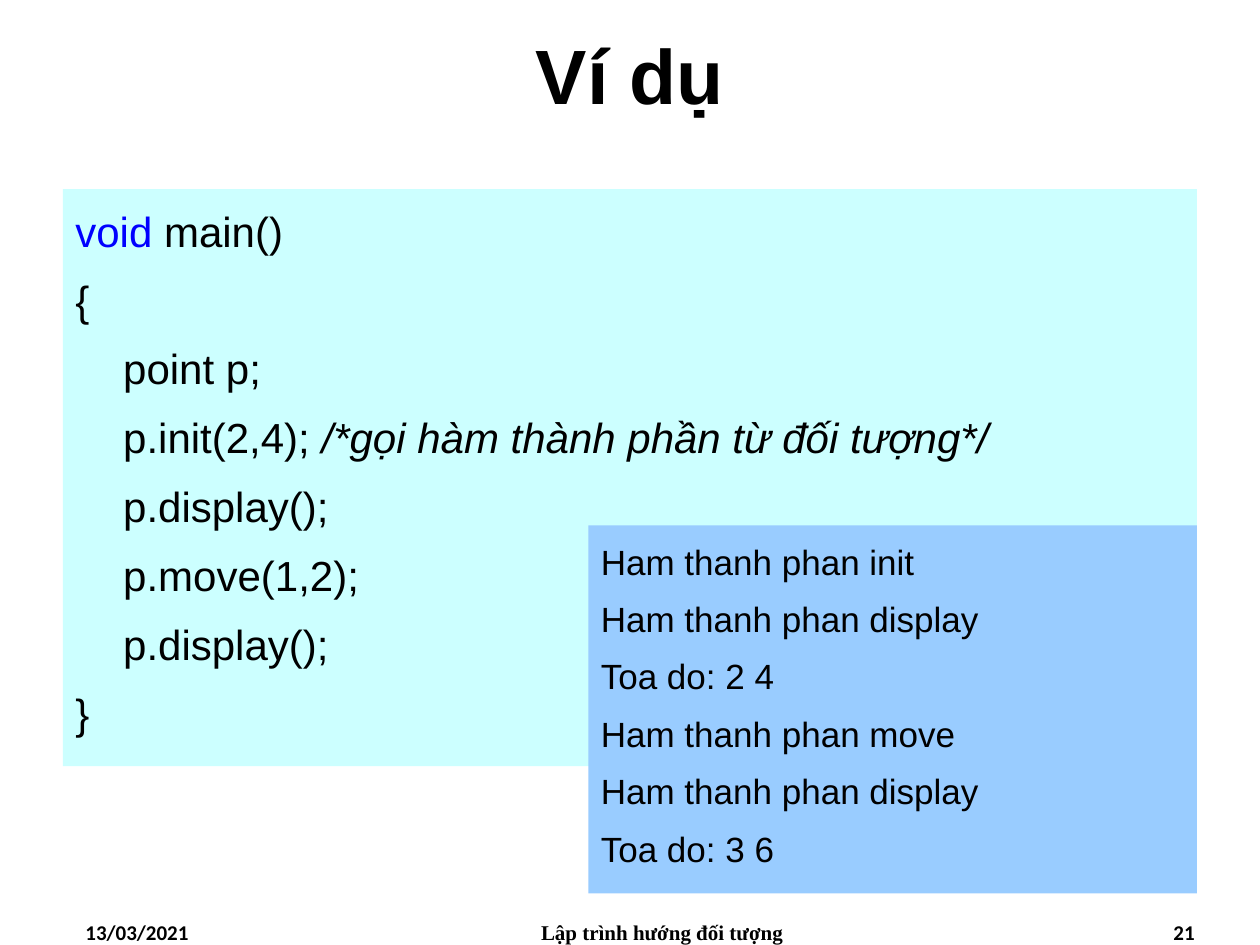
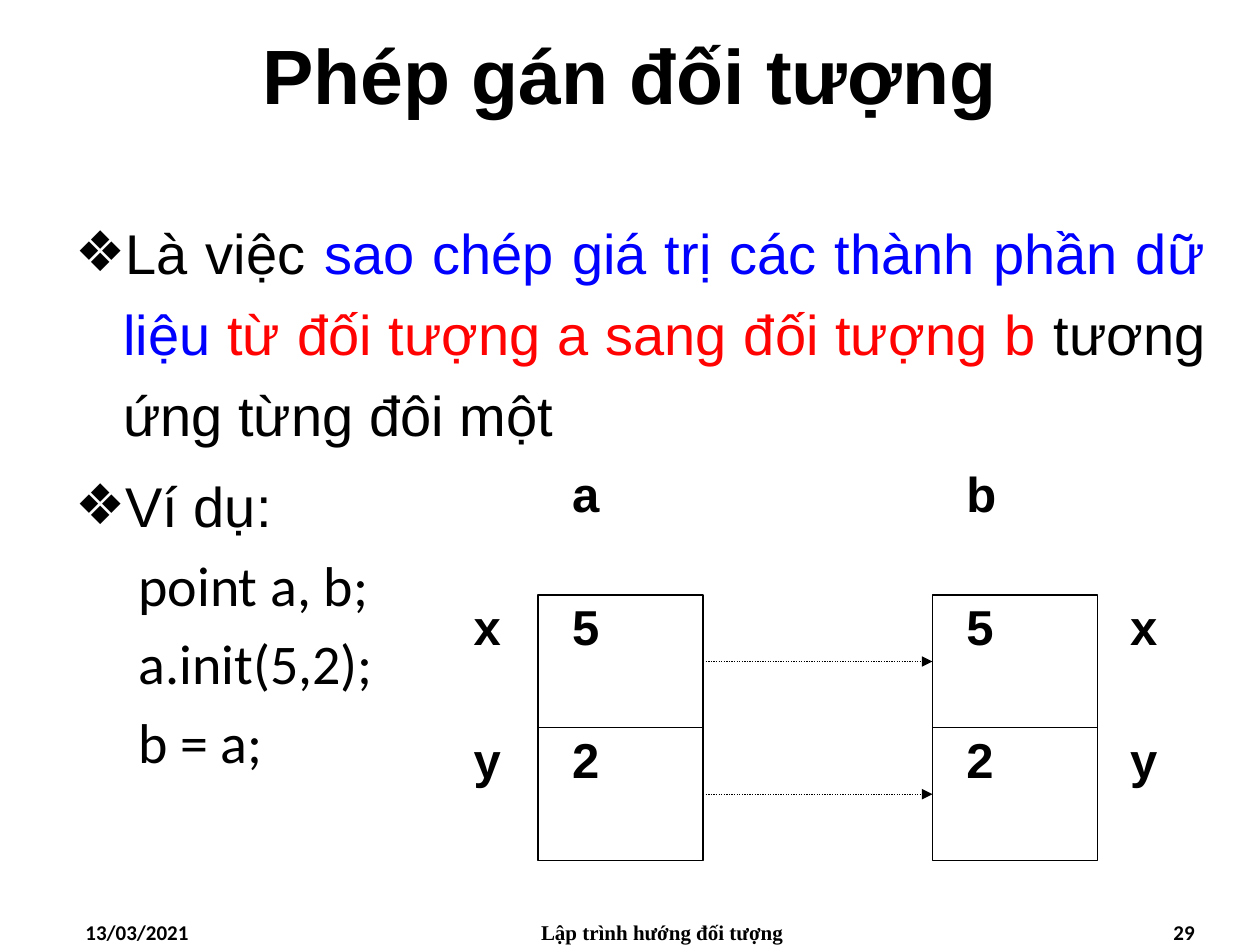
from dataclasses import dataclass

from lxml import etree
from pptx import Presentation
from pptx.dml.color import RGBColor
from pptx.enum import dml, shapes, text
from pptx.oxml import ns
from pptx.util import Inches, Pt


@dataclass(frozen=True)
class Theme:
    black: str = "000000"
    blue: str = "0000FF"
    red: str = "FF0303"
    code_fill: str = "CCFFFF"
    output_fill: str = "99CCFF"
    sans: str = "Arial"
    body: str = "Calibri"
    serif: str = "Times New Roman"
    title_size: int = 44
    body_size: int = 32
    label_size: int = 28
    code_size: int = 24
    output_size: int = 20
    footer_size: int = 12
    line_width: float = 0.75
    line_spacing: float = 1.2
    hang: float = 0.38


T = Theme()
LEFT, CENTER, RIGHT, JUSTIFY = (
    text.PP_ALIGN.LEFT, text.PP_ALIGN.CENTER, text.PP_ALIGN.RIGHT, text.PP_ALIGN.JUSTIFY)


def style_run(r, size, font=T.sans, color=T.black, bold=False, italic=False):
    r.font.size = Pt(size)
    r.font.name = font
    r.font.color.rgb = RGBColor.from_string(color)
    r.font.bold = bold
    r.font.italic = italic


def add_runs(p, runs, size, font=T.sans):
    for content, look in runs:
        r = p.add_run()
        r.text = content
        style_run(r, size, font, **look)


def next_paragraph(tf, first):
    return tf.paragraphs[0] if first else tf.add_paragraph()


def set_paragraph(p, size, margin, indent, spacing=T.line_spacing, bullet=None):
    p.space_before = Pt(size * 0.2)
    p.line_spacing = spacing
    props = p._p.get_or_add_pPr()
    props.set("marL", str(Inches(margin)))
    props.set("indent", str(Inches(indent)))
    if bullet:
        etree.SubElement(props, ns.qn("a:buFont")).set("typeface", T.sans)
        etree.SubElement(props, ns.qn("a:buChar")).set("char", bullet)


def add_text(parent, box, content, size, font=T.sans, align=LEFT, inset=None,
             anchor=text.MSO_ANCHOR.TOP):
    sp = parent.add_textbox(*map(Inches, box))
    tf = sp.text_frame
    tf.word_wrap = True
    tf.vertical_anchor = anchor
    if inset is not None:
        tf.margin_left = tf.margin_top = tf.margin_right = tf.margin_bottom = Inches(inset)
    p = tf.paragraphs[0]
    p.text = content
    p.alignment = align
    style_run(p.runs[0], size, font, bold=True)


def add_rect(parent, box, fill=None, line=None):
    sp = parent.add_shape(shapes.MSO_SHAPE.RECTANGLE, *map(Inches, box))
    sp.shadow.inherit = False
    if fill:
        sp.fill.solid()
        sp.fill.fore_color.rgb = RGBColor.from_string(fill)
    else:
        sp.fill.background()
    if line:
        sp.line.color.rgb = RGBColor.from_string(line)
        sp.line.width = Pt(T.line_width)
    else:
        sp.line.fill.background()
    return sp


def add_line(parent, x1, y1, x2, y2, arrow=False):
    c = parent.add_connector(shapes.MSO_CONNECTOR.STRAIGHT, *map(Inches, (x1, y1, x2, y2)))
    c.line.color.rgb = RGBColor.from_string(T.black)
    c.line.width = Pt(T.line_width)
    if arrow:
        c.line.dash_style = dml.MSO_LINE.ROUND_DOT
        etree.SubElement(c.line._get_or_add_ln(), ns.qn("a:tailEnd")).set("type", "triangle")
    etree.SubElement(c._element.spPr, ns.qn("a:effectLst"))


def add_frame(prs, title, number):
    s = prs.slides.add_slide(prs.slide_layouts[6])
    add_text(s.shapes, (0, 0, 10, 1.17), title, T.title_size, align=CENTER,
             anchor=text.MSO_ANCHOR.MIDDLE)
    footers = (
        (0.58, 2.33, "13/03/2021", T.body, LEFT),
        (3.67, 3.17, "Lập trình hướng đối tượng", T.serif, CENTER),
        (7.25, 2.33, str(number), T.body, RIGHT),
    )
    for left, width, content, font, align in footers:
        add_text(s.shapes, (left, 7.25, width, 0.25), content, T.footer_size, font, align)
    return s


def add_code_panel(s, box, fill, size, lines):
    tf = add_rect(s.shapes, box, fill).text_frame
    tf.word_wrap = True
    tf.vertical_anchor = text.MSO_ANCHOR.TOP
    for i, (level, runs) in enumerate(lines):
        p = next_paragraph(tf, i == 0)
        p.alignment = LEFT
        set_paragraph(p, size, T.hang, 0 if level else -T.hang)
        add_runs(p, runs, size)


def add_body(s, box, bullets, code):
    tf = s.shapes.add_textbox(*map(Inches, box)).text_frame
    tf.word_wrap = True
    for i, runs in enumerate(bullets):
        p = next_paragraph(tf, i == 0)
        p.alignment = JUSTIFY
        set_paragraph(p, T.body_size, T.hang, -T.hang, bullet="❖")
        add_runs(p, runs, T.body_size)
    for line in code:
        p = tf.add_paragraph()
        p.level = 1
        set_paragraph(p, T.body_size, 0.81, -0.31, spacing=1.0)
        add_runs(p, [(line, {})], T.body_size, T.body)


def add_assignment_diagram(s, box, objects, fields):
    left, top, width, height = box
    row = height / (len(fields) + 1)
    cell, label, pad = 1.31, 0.52, 0.26
    value_width = cell - 2 * pad
    source = left + label
    target = left + 3.65
    cells_top = top + row
    group = s.shapes.add_group_shape().shapes

    def put(x, y, w, content):
        add_text(group, (x, y, w, row), content, T.label_size, inset=0.01)

    for x, name in zip((source, target), objects):
        add_rect(group, (x, cells_top, cell, height - row), line=T.black)
        put(x + pad, top, value_width, name)
        for i, (_, value) in enumerate(fields):
            y = cells_top + i * row
            put(x + pad, y, value_width, value)
            if i:
                add_line(group, x, y, x + cell, y)
    for i, (field, _) in enumerate(fields):
        y = cells_top + i * row
        put(left, y, label, field)
        put(left + width - value_width, y, value_width, field)
        add_line(group, source + cell, y + row / 2, target, y + row / 2, arrow=True)


def build_example(prs):
    s = add_frame(prs, "Ví dụ", 21)
    code = [
        (0, [("void", {"color": T.blue}), (" main()", {})]),
        (0, [("{", {})]),
        (1, [("point p;", {})]),
        (1, [("p.init(2,4); ", {}),
             ("/*gọi hàm thành phần từ đối tượng*/", {"italic": True})]),
        (1, [("p.display();", {})]),
        (1, [("p.move(1,2);", {})]),
        (1, [("p.display();", {})]),
        (0, [("}", {})]),
    ]
    output = ["Ham thanh phan init", "Ham thanh phan display", "Toa do: 2 4",
              "Ham thanh phan move", "Ham thanh phan display", "Toa do: 3 6"]
    add_code_panel(s, (0.5, 1.5, 9, 4.58), T.code_fill, T.code_size, code)
    add_code_panel(s, (4.67, 4.17, 4.83, 2.92), T.output_fill, T.output_size,
                   [(0, [(line, {})]) for line in output])


def build_assignment(prs):
    s = add_frame(prs, "Phép gán đối tượng", 29)
    bullets = [
        [("Là việc ", {}),
         ("sao chép giá trị các thành phần dữ liệu ", {"color": T.blue}),
         ("từ đối tượng a sang đối tượng b", {"color": T.red}),
         (" tương ứng từng đôi một", {})],
        [("Ví dụ:", {})],
    ]
    add_body(s, (0.5, 1.58, 9.17, 5.39), bullets, ["point a, b;", "a.init(5,2);", "b = a;"])
    add_assignment_diagram(s, (3.75, 3.67, 6, 3.16), ("a", "b"), (("x", "5"), ("y", "2")))


def main():
    prs = Presentation()
    prs.slide_width, prs.slide_height = Inches(10), Inches(7.5)
    build_example(prs)
    build_assignment(prs)
    prs.save("out.pptx")


if __name__ == "__main__":
    main()
